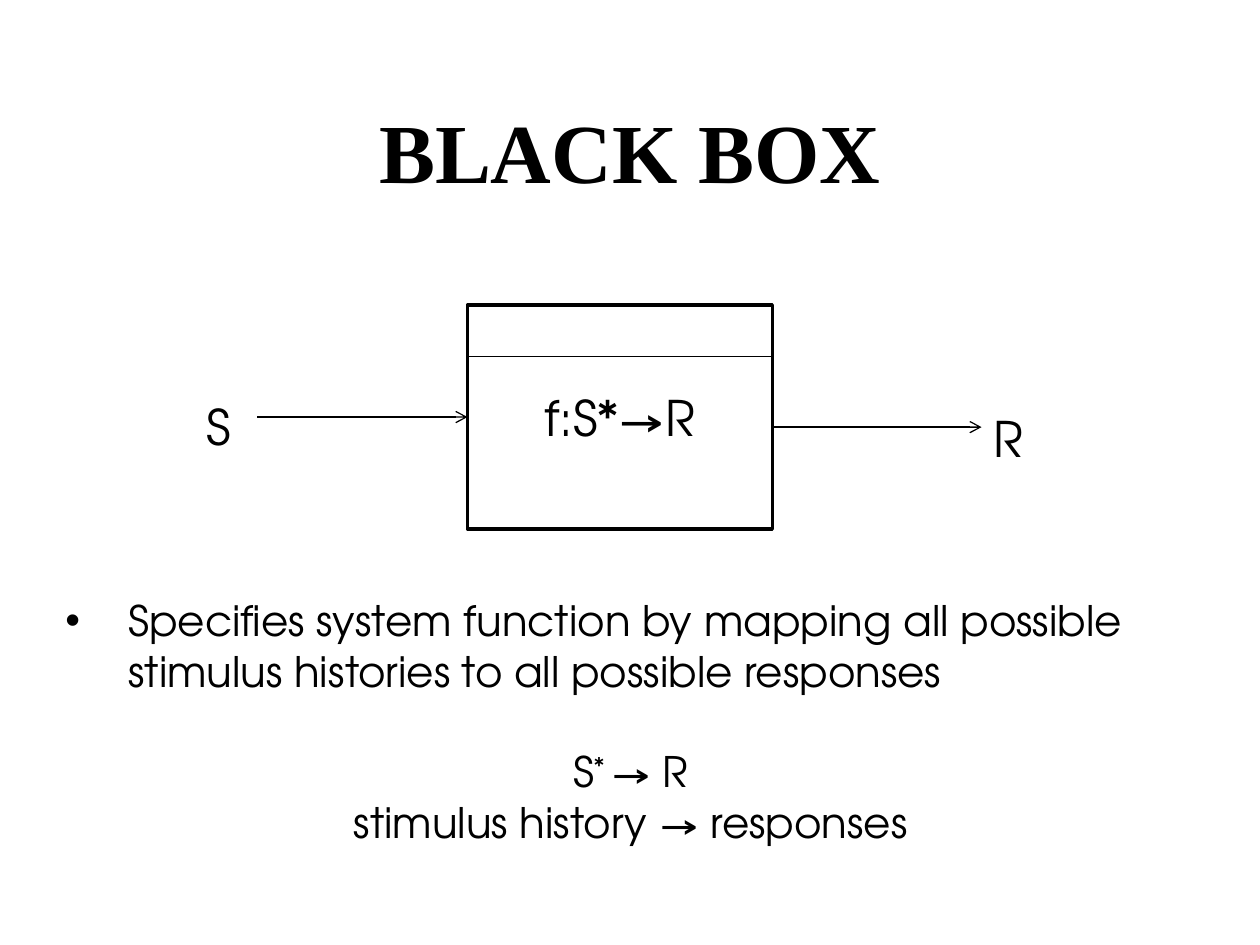
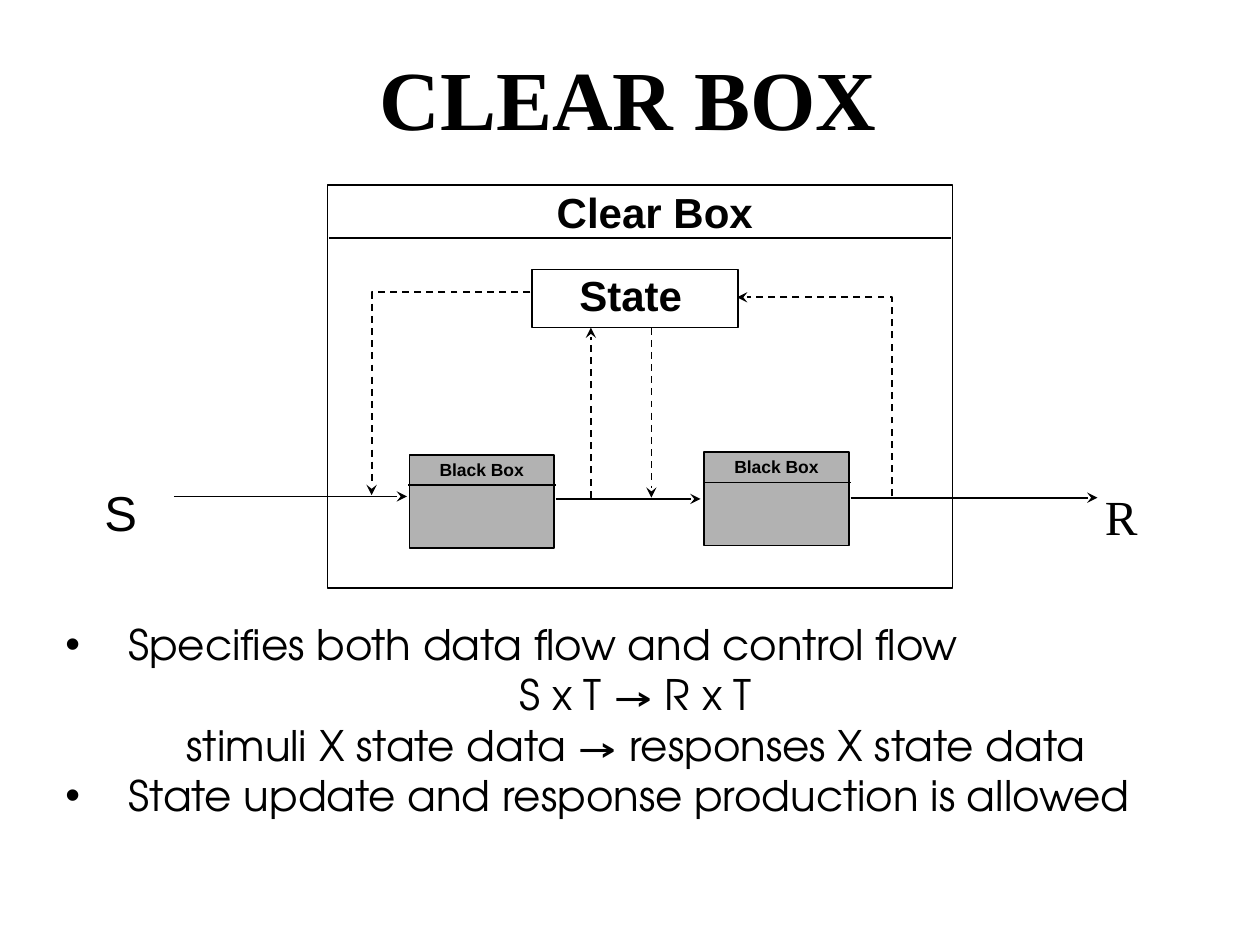
"""Build the Black Box and Clear Box slides."""
from lxml.etree import SubElement
from pptx import Presentation
from pptx.dml.color import RGBColor
from pptx.enum.dml import MSO_LINE
from pptx.enum.shapes import MSO_CONNECTOR, MSO_SHAPE
from pptx.enum.text import MSO_ANCHOR, MSO_AUTO_SIZE, PP_ALIGN
from pptx.oxml.ns import qn
from pptx.util import Inches, Pt

HUES = {"ink": "000000", "paper": "FFFFFF", "gray": "B2B2B2"}
SERIF, SANS, GEO = "Times New Roman", "Arial", "TeX Gyre Adventor"
STYLES = {
    "title": {"name": SERIF, "size": Pt(48), "bold": True},
    "body": {"name": GEO, "size": Pt(24)},
    "sign": {"name": GEO, "size": Pt(28)},
    "head": {"name": SANS, "size": Pt(24), "bold": True},
    "tag": {"name": SANS, "size": Pt(10), "bold": True},
    "in": {"name": SANS, "size": Pt(28)},
    "out": {"name": SERIF, "size": Pt(28)},
}

BLACK = {
    "title": ("BLACK BOX", (0.75, 0.67, 8.5, 1.25)),
    "at": (0.42, 4.67, 9.17, 2.12),
    "body": [
        ("bullet", ["Specifies system function by mapping all possible "
                    "stimulus histories to all possible responses"], 0),
        ("center", ["S", "^* ", "→ R"], 28.8),
        ("center", ["stimulus history → responses"], 0),
    ],
    "signs": [("S", "sign", (1.54, 3.1, 0.5, 0.57), True),
              ("R", "sign", (7.79, 3.19, 0.5, 0.57), True)],
}
CLEAR = {
    "title": ("CLEAR BOX", (0.36, 0.25, 9.25, 0.91)),
    "at": (0.42, 4.86, 9.25, 1.72),
    "body": [
        ("bullet", ["Specifies both data flow and control flow"], 0),
        ("center", ["S x T → R x T"], 0),
        ("center", ["stimuli X state data → responses X state data"], 0),
        ("bullet", ["State update and response production is allowed"], 0),
    ],
    "signs": [("Clear Box", "head", (4.32, 1.43, 1.78, 0.51), False),
              ("State", "head", (4.5, 2.09, 1.03, 0.51), False),
              ("S", "in", (0.73, 3.78, 0.46, 0.57), False),
              ("R", "out", (8.67, 3.81, 0.46, 0.57), False)],
}
MINIS = [(3.25, 3.61), (5.59, 3.59)]
FLOWS = [((1.38, 3.94), (3.23, 3.94)), ((4.41, 3.96), (5.56, 3.96)),
         ((6.75, 3.95), (8.71, 3.95))]
STATES = [((4.69, 3.95), (4.69, 2.6)), ((5.17, 2.6), (5.17, 3.95))]
BENDS = [[(7.08, 3.94), (7.08, 2.36), (5.85, 2.36)],
         [(4.21, 2.32), (2.95, 2.32), (2.95, 3.93)]]


def color(name):
    return RGBColor.from_string(HUES[name])


def place(at):
    return [Inches(v) for v in at]


def write(par, runs, style):
    for text in runs:
        run = par.add_run()
        run.text = text.lstrip("^")
        for key, val in STYLES[style].items():
            setattr(run.font, key, val)
        run.font.color.rgb = color("ink")
        if text.startswith("^"):
            run._r.get_or_add_rPr().set("baseline", "30000")


def label(shapes, text, style, at, wrap=True):
    frame = shapes.add_textbox(*place(at)).text_frame
    frame.word_wrap = wrap
    frame.auto_size = MSO_AUTO_SIZE.SHAPE_TO_FIT_TEXT
    write(frame.paragraphs[0], [text], style)
    return frame


def stroke(shape, width, tip=None, dash=False):
    shape.line.color.rgb = color("ink")
    shape.line.width = Pt(width)
    if dash:
        shape.line.dash_style = MSO_LINE.DASH
    if tip:
        SubElement(shape.line._get_or_add_ln(), qn("a:tailEnd"), type=tip)


def box(shapes, at, width=1, fill=None):
    shape = shapes.add_shape(MSO_SHAPE.RECTANGLE, *place(at))
    shape.shadow.inherit = False
    if fill:
        shape.fill.solid()
        shape.fill.fore_color.rgb = color(fill)
    else:
        shape.fill.background()
    stroke(shape, width)
    return shape


def link(shapes, start, end, width=1, tip=None, dash=False):
    line = shapes.add_connector(MSO_CONNECTOR.STRAIGHT, *place(start + end))
    stroke(line, width, tip, dash)
    SubElement(line._element.spPr, qn("a:effectLst"))
    return line


def bend(shapes, points):
    first, *rest = [place(p) for p in points]
    pen = shapes.build_freeform(*first)
    pen.add_line_segments(rest, close=False)
    shape = pen.convert_to_shape()
    shape.shadow.inherit = False
    shape.fill.background()
    stroke(shape, 1, "stealth", True)


def listing(shapes, items, at):
    frame = shapes.add_textbox(*place(at)).text_frame
    frame.word_wrap = True
    frame.auto_size = MSO_AUTO_SIZE.SHAPE_TO_FIT_TEXT
    for i, (kind, runs, gap) in enumerate(items):
        par = frame.add_paragraph() if i else frame.paragraphs[0]
        if kind == "bullet":
            props = par._p.get_or_add_pPr()
            props.set("marL", str(Inches(0.5)))
            props.set("indent", str(-Inches(0.5)))
            SubElement(props, qn("a:buFont"), typeface=SANS)
            SubElement(props, qn("a:buChar"), char="•")
        else:
            par.alignment = PP_ALIGN.CENTER
        if gap:
            par.space_before = Pt(gap)
        write(par, runs, "body")


def start(deck, data):
    slide = deck.slides.add_slide(deck.slide_layouts[6])
    slide.background.fill.solid()
    slide.background.fill.fore_color.rgb = color("paper")
    shapes = slide.shapes
    text, at = data["title"]
    frame = label(shapes, text, "title", at)
    frame.auto_size = MSO_AUTO_SIZE.NONE
    frame.margin_top = Inches(0.12)
    frame.paragraphs[0].alignment = PP_ALIGN.CENTER
    listing(shapes, data["body"], data["at"])
    return shapes


def black(deck):
    shapes = start(deck, BLACK)
    main = box(shapes, (3.71, 2.42, 2.42, 1.78), 2, "paper")
    frame = main.text_frame
    frame.vertical_anchor = MSO_ANCHOR.MIDDLE
    frame.paragraphs[0].alignment = PP_ALIGN.CENTER
    write(frame.paragraphs[0], ["f:S*→R"], "sign")
    link(shapes, (3.71, 2.83), (6.12, 2.83), 0.75)
    into = link(shapes, (2.04, 3.31), (3.71, 3.31), 0.75, "arrow")
    into.end_connect(main, 1)
    link(shapes, (6.12, 3.39), (7.79, 3.39), 0.75, "arrow")
    for sign in BLACK["signs"]:
        label(shapes, *sign)


def clear(deck):
    shapes = start(deck, CLEAR)
    box(shapes, (2.6, 1.47, 4.96, 3.2))
    link(shapes, (2.61, 1.89), (7.55, 1.89))
    box(shapes, (4.22, 2.14, 1.64, 0.46))
    for x, y in MINIS:
        group = shapes.add_group_shape().shapes
        box(group, (x, y, 1.15, 0.74), 1, "gray")
        link(group, (x - 0.01, y + 0.24), (x + 1.16, y + 0.24))
        label(group, "Black Box", "tag", (x + 0.14, y - 0.02, 0.87, 0.27), False)
    for sign in CLEAR["signs"]:
        label(shapes, *sign)
    for ends in FLOWS:
        link(shapes, *ends, tip="stealth")
    for ends in STATES:
        link(shapes, *ends, tip="stealth", dash=True)
    for points in BENDS:
        bend(shapes, points)


def main():
    deck = Presentation()
    deck.slide_width, deck.slide_height = Inches(10), Inches(7.5)
    black(deck)
    clear(deck)
    deck.save("out.pptx")


if __name__ == "__main__":
    main()
